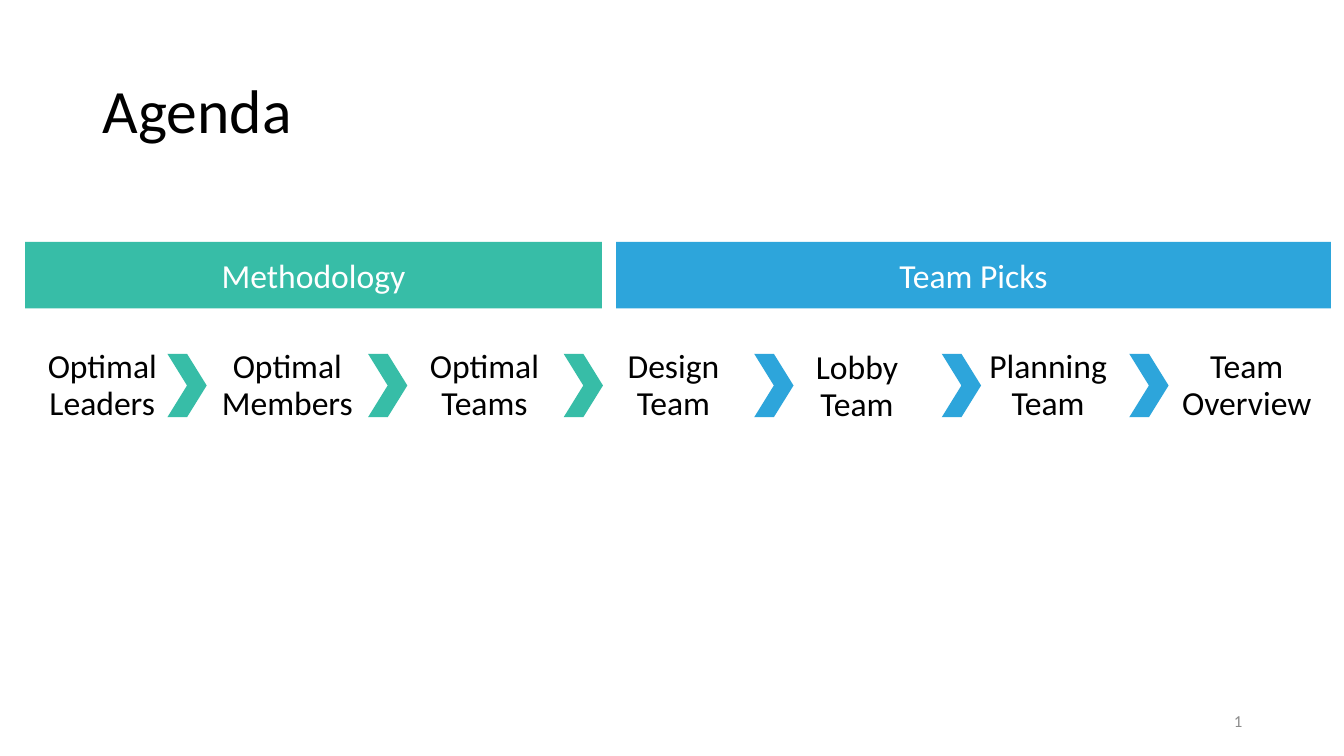
import dataclasses

import pptx
import pptx.dml.color
import pptx.enum.shapes
import pptx.enum.text
import pptx.util

Inches = pptx.util.Inches
Shape = pptx.enum.shapes.MSO_SHAPE
Align = pptx.enum.text.PP_ALIGN
Anchor = pptx.enum.text.MSO_ANCHOR
Color = pptx.dml.color.RGBColor.from_string


@dataclasses.dataclass(frozen=True)
class Theme:
    """Font, colours and type sizes of the slide."""
    font: str = "Calibri"
    ink: str = "000000"
    light: str = "FFFFFF"
    muted: str = "8C8C8C"
    green: str = "37BDA7"
    blue: str = "2DA5DB"
    title_size: int = 44
    body_size: int = 24
    number_size: int = 12


theme = Theme()

deck = pptx.Presentation()
deck.slide_width = Inches(13.33)
deck.slide_height = Inches(7.5)
page = deck.slides.add_slide(deck.slide_layouts[6])


def write(box, text, size, color, align, anchor=Anchor.MIDDLE):
    """Put one styled paragraph in a box and return it."""
    frame = box.text_frame
    frame.word_wrap = True
    frame.vertical_anchor = anchor
    para = frame.paragraphs[0]
    para.text = text
    para.alignment = align
    para.font.name = theme.font
    para.font.size = pptx.util.Pt(size)
    para.font.color.rgb = Color(color)
    return para


def add_filled(kind, left, top, width, height, color):
    """Add a flat preset shape without outline or shadow."""
    shape = page.shapes.add_shape(
        kind, Inches(left), Inches(top), Inches(width), Inches(height))
    shape.shadow.inherit = False
    shape.fill.solid()
    shape.fill.fore_color.rgb = Color(color)
    shape.line.fill.background()
    return shape


title = page.shapes.add_textbox(Inches(0.92), Inches(0.4), Inches(11.5), Inches(1.45))
write(title, "Agenda", theme.title_size, theme.ink, Align.LEFT).line_spacing = 0.9

# Section banners: label, left, width, colour
for label, left, width, color in [
    ("Methodology", 0.25, 5.72, theme.green),
    ("Team Picks", 6.11, 7.09, theme.blue),
]:
    banner = add_filled(Shape.RECTANGLE, left, 2.4, width, 0.66, color)
    write(banner, label, theme.body_size, theme.light, Align.CENTER)

# Agenda steps: label, left, top, width
for label, left, top, width in [
    ("Optimal Leaders", 0.25, 3.42, 1.53),
    ("Optimal Members", 2.08, 3.42, 1.54),
    ("Optimal Teams", 4.05, 3.42, 1.51),
    ("Design Team", 5.91, 3.42, 1.54),
    ("Lobby Team", 7.73, 3.43, 1.54),
    ("Planning Team", 9.55, 3.42, 1.69),
    ("Team Overview", 11.52, 3.42, 1.69),
]:
    step = page.shapes.add_textbox(Inches(left), Inches(top), Inches(width), Inches(1.22))
    para = write(step, label, theme.body_size, theme.ink, Align.CENTER, Anchor.TOP)
    para.line_spacing = 0.9
    para.space_before = pptx.util.Pt(10)

# Chevrons between the steps, coloured by section
for color, lefts in [
    (theme.green, (1.66, 3.65, 5.59)),
    (theme.blue, (7.48, 9.34, 11.2)),
]:
    for left in lefts:
        add_filled(Shape.CHEVRON, left, 3.51, 0.39, 0.63, color)

number = page.shapes.add_textbox(Inches(9.42), Inches(6.95), Inches(3), Inches(0.4))
write(number, "1", theme.number_size, theme.muted, Align.RIGHT)

deck.save("out.pptx")
